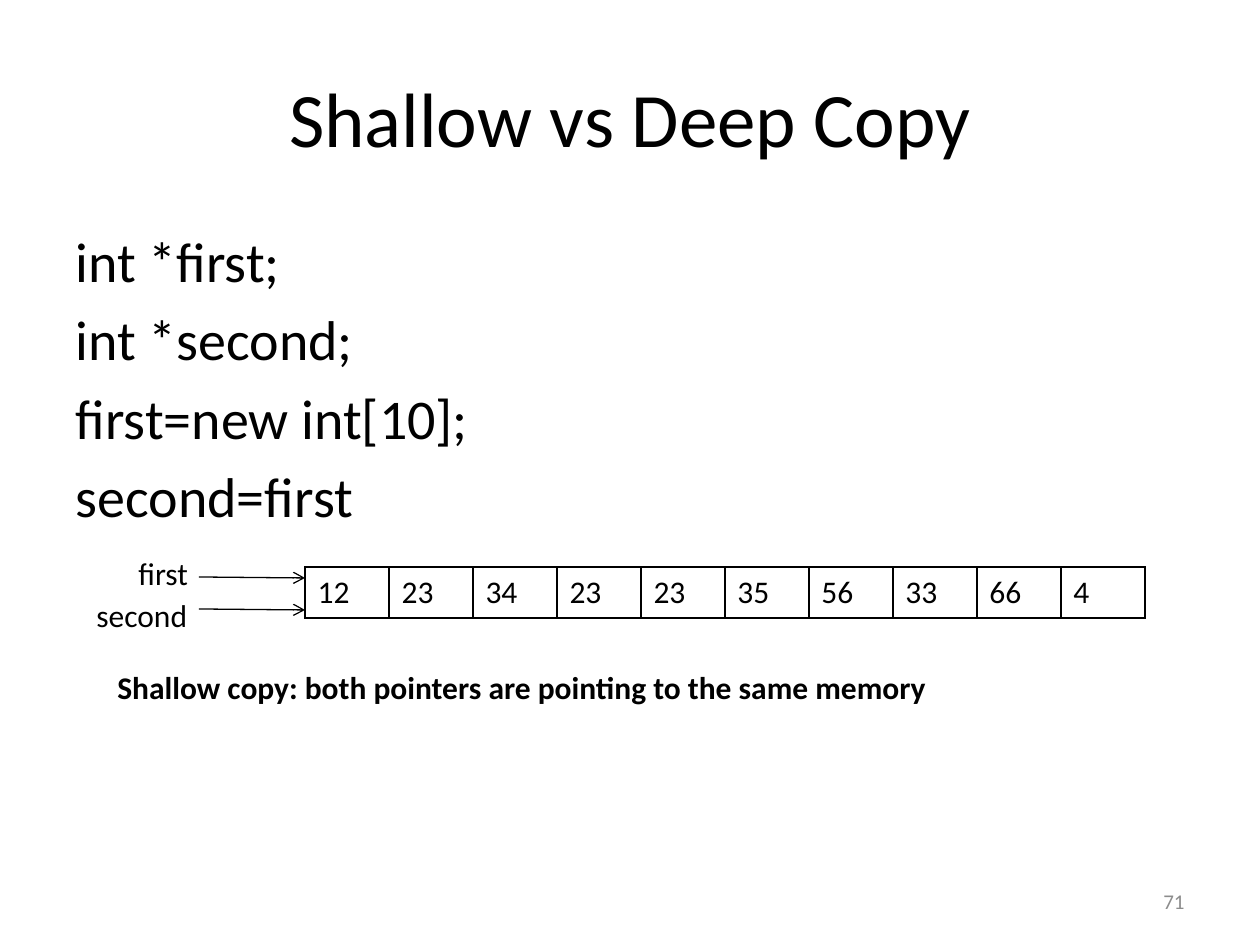
from lxml import etree
from pptx import Presentation
from pptx.dml.color import RGBColor
from pptx.enum.shapes import MSO_CONNECTOR
from pptx.enum.text import MSO_ANCHOR, MSO_AUTO_SIZE, PP_ALIGN
from pptx.oxml import parse_xml
from pptx.oxml.ns import qn
from pptx.util import Emu, Pt

STRAIGHT = MSO_CONNECTOR.STRAIGHT
MIDDLE = MSO_ANCHOR.MIDDLE
GROW = MSO_AUTO_SIZE.SHAPE_TO_FIT_TEXT
NO_FIT = MSO_AUTO_SIZE.NONE
LEFT, CENTER, RIGHT = PP_ALIGN.LEFT, PP_ALIGN.CENTER, PP_ALIGN.RIGHT
NAMESPACE = "http://schemas.openxmlformats.org/drawingml/2006/main"
BLACK = "000000"


def px(length):
    return Emu(round(length * 914400 / 126))


def style(paragraph, size, color=BLACK, bold=False):
    paragraph.font.name = "Calibri"
    paragraph.font.size = Pt(size)
    paragraph.font.bold = bold
    paragraph.font.color.rgb = RGBColor.from_string(color)


presentation = Presentation()
presentation.slide_width = px(1260)
presentation.slide_height = px(945)
slide = presentation.slides.add_slide(presentation.slide_layouts[1])

# Title and code lines
title, body = slide.placeholders
title.left, title.top, title.width, title.height = px(63), px(38), px(1134), px(158)
title.text_frame.text = "Shallow vs Deep Copy"
title.text_frame.vertical_anchor = MIDDLE
title.text_frame.paragraphs[0].alignment = CENTER
style(title.text_frame.paragraphs[0], 44)

body.left, body.top, body.width, body.height = px(63), px(220), px(1134), px(624)
body.text_frame.text = "int *first;\nint *second;\nfirst=new int[10];\nsecond=first"
for index, paragraph in enumerate(body.text_frame.paragraphs):
    properties = paragraph._p.get_or_add_pPr()
    properties.set("marL", str(px(48)))
    properties.set("indent", str(-px(48)))
    etree.SubElement(properties, qn("a:buNone"))
    if index == 0:
        paragraph.space_before = Pt(0)
    style(paragraph, 32)

# Array in memory
values = [12, 23, 34, 23, 23, 35, 56, 33, 66, 4]
cell_width = 84
table = slide.shapes.add_table(
    1, len(values), px(305), px(567), px(cell_width * len(values)), px(51)
).table
table.first_row = table.horz_banding = False
for column, value in enumerate(values):
    table.columns[column].width = px(cell_width)
    cell = table.cell(0, column)
    cell.text = str(value)
    style(cell.text_frame.paragraphs[0], 18)
    cell_properties = cell._tc.get_or_add_tcPr()
    for side in ("lnL", "lnR", "lnT", "lnB"):
        cell_properties.append(parse_xml(
            f'<a:{side} xmlns:a="{NAMESPACE}" w="{Pt(1)}"><a:solidFill>'
            f'<a:srgbClr val="{BLACK}"/></a:solidFill></a:{side}>'
        ))
    cell.fill.background()

# Pointer arrows
for top in (577, 609):
    arrow = slide.shapes.add_connector(STRAIGHT, px(199), px(top), px(305), px(top + 1))
    arrow.line.color.rgb = RGBColor.from_string(BLACK)
    arrow.line.width = Pt(0.75)
    etree.SubElement(arrow.line._get_or_add_ln(), qn("a:tailEnd"), type="arrow")
    etree.SubElement(arrow._element.spPr, qn("a:effectLst"))

# Pointer labels, caption and slide number
caption = "Shallow copy: both pointers are pointing to the same memory"
for text, left, top, width, height, size, color, bold, alignment in (
    ("first", 126, 548, 147, 50, 18, BLACK, False, LEFT),
    ("second", 84, 590, 147, 50, 18, BLACK, False, LEFT),
    (caption, 105, 662, 1018, 50, 18, BLACK, True, LEFT),
    ("71", 903, 876, 294, 50, 12, "8C8C8C", False, RIGHT),
):
    box = slide.shapes.add_textbox(px(left), px(top), px(width), px(height))
    frame = box.text_frame
    frame.word_wrap = True
    frame.auto_size = GROW if alignment == LEFT else NO_FIT
    frame.vertical_anchor = MIDDLE
    frame.text = text
    frame.paragraphs[0].alignment = alignment
    style(frame.paragraphs[0], size, color, bold)

presentation.save("out.pptx")
